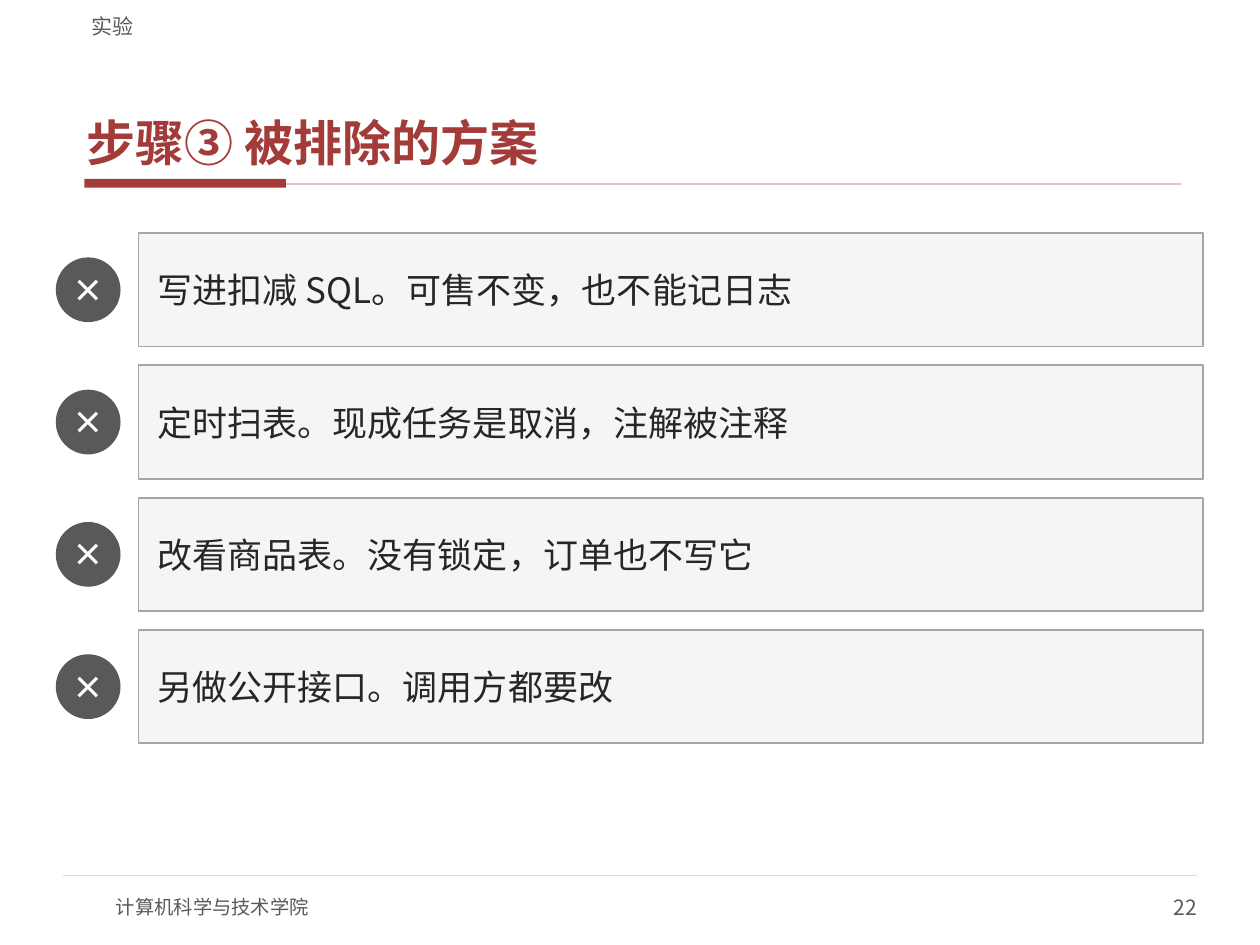
from lxml.etree import SubElement
from pptx import Presentation
from pptx.dml.color import RGBColor
from pptx.enum.shapes import MSO_CONNECTOR, MSO_SHAPE
from pptx.enum.text import MSO_ANCHOR, MSO_AUTO_SIZE, PP_ALIGN
from pptx.oxml.ns import qn
from pptx.util import Emu, Pt

PX = 9144
FONT = "Noto Sans CJK SC"
COLORS = {
    "accent": "A33B38",
    "accent_line": "E3C4C2",
    "footer_line": "D9D9D9",
    "muted": "595959",
    "card": "F5F5F5",
    "card_line": "A6A6A6",
    "text": "262626",
    "white": "FFFFFF",
}
REJECTED = [
    "写进扣减 SQL。可售不变，也不能记日志",
    "定时扫表。现成任务是取消，注解被注释",
    "改看商品表。没有锁定，订单也不写它",
    "另做公开接口。调用方都要改",
]
CARD_TOP, CARD_H, CARD_STEP, MARK = 185, 90, 105, 50


def px(*values):
    """Turn px lengths into EMU."""
    return [Emu(v * PX) for v in values]


def rgb(name):
    """Look up a named colour."""
    return RGBColor.from_string(COLORS[name])


def write(s, text, size, color="muted", bold=False, align=PP_ALIGN.LEFT,
          anchor=MSO_ANCHOR.MIDDLE, inset=(0, 0), after=0):
    """Put one formatted paragraph into a shape."""
    tf = s.text_frame
    tf.word_wrap = True
    tf.auto_size = MSO_AUTO_SIZE.NONE
    tf.vertical_anchor = anchor
    tf.margin_left, tf.margin_top = px(*inset)
    tf.margin_right, tf.margin_bottom = px(*inset)
    p = tf.paragraphs[0]
    p.alignment = align
    p.space_before, p.space_after = Pt(0), Pt(after)
    r = p.add_run()
    r.text = text
    r.font.size, r.font.bold, r.font.name = Pt(size), bold, FONT
    r.font.color.rgb = rgb(color)
    SubElement(r.font._element, qn("a:ea"), typeface=FONT)


def add_box(sp, kind, box, fill, line=None):
    """Add a filled preset shape with an optional outline."""
    s = sp.add_shape(kind, *px(*box))
    s.shadow.inherit = False
    s.fill.solid()
    s.fill.fore_color.rgb = rgb(fill)
    if line:
        s.line.color.rgb = rgb(line)
        s.line.width = Pt(1)
    else:
        s.line.fill.background()
    return s


def add_rule(sp, left, right, y, color, width):
    """Add a horizontal line."""
    c = sp.add_connector(MSO_CONNECTOR.STRAIGHT, *px(left, y, right, y))
    c.line.color.rgb = rgb(color)
    c.line.width = Pt(width)
    SubElement(c._element.spPr, qn("a:effectLst"))


def add_label(sp, box, text, size, **fmt):
    """Add a text box."""
    write(sp.add_textbox(*px(*box)), text, size, **fmt)


def add_title(s, text):
    """Place and format the title placeholder."""
    s.left, s.top, s.width, s.height = px(63, 33, 875, 105)
    write(s, text, 28, color="accent", bold=True,
          anchor=MSO_ANCHOR.BOTTOM, inset=(6, 2), after=2)


def add_rejected(sp, top, text):
    """Add a cross mark and the card of one rejected option."""
    mark = add_box(sp, MSO_SHAPE.OVAL,
                   (45, top + (CARD_H - MARK) // 2, MARK, MARK), "muted", "muted")
    write(mark, "×", 18, color="white", bold=True, align=PP_ALIGN.CENTER)
    card = add_box(sp, MSO_SHAPE.RECTANGLE, (110, top, 845, CARD_H), "card", "card_line")
    write(card, text, 20, color="text", inset=(15, 7))


def main():
    """Build the slide and save it."""
    prs = Presentation()
    prs.slide_width, prs.slide_height = px(1000, 750)
    slide = prs.slides.add_slide(prs.slide_layouts[5])
    sp = slide.shapes
    add_title(sp.title, "步骤③ 被排除的方案")
    add_box(sp, MSO_SHAPE.RECTANGLE, (67, 142, 160, 7), "accent")
    add_rule(sp, 227, 937, 146, "accent_line", 1)
    add_rule(sp, 50, 950, 695, "footer_line", 0.75)
    add_label(sp, (92, 700, 400, 40), "计算机科学与技术学院", 11)
    add_label(sp, (750, 700, 200, 40), "22", 12, align=PP_ALIGN.RIGHT)
    for i, text in enumerate(REJECTED):
        add_rejected(sp, CARD_TOP + i * CARD_STEP, text)
    add_label(sp, (63, 4, 875, 27), "实验", 12, anchor=MSO_ANCHOR.BOTTOM, inset=(10, 0))
    prs.save("out.pptx")


if __name__ == "__main__":
    main()
